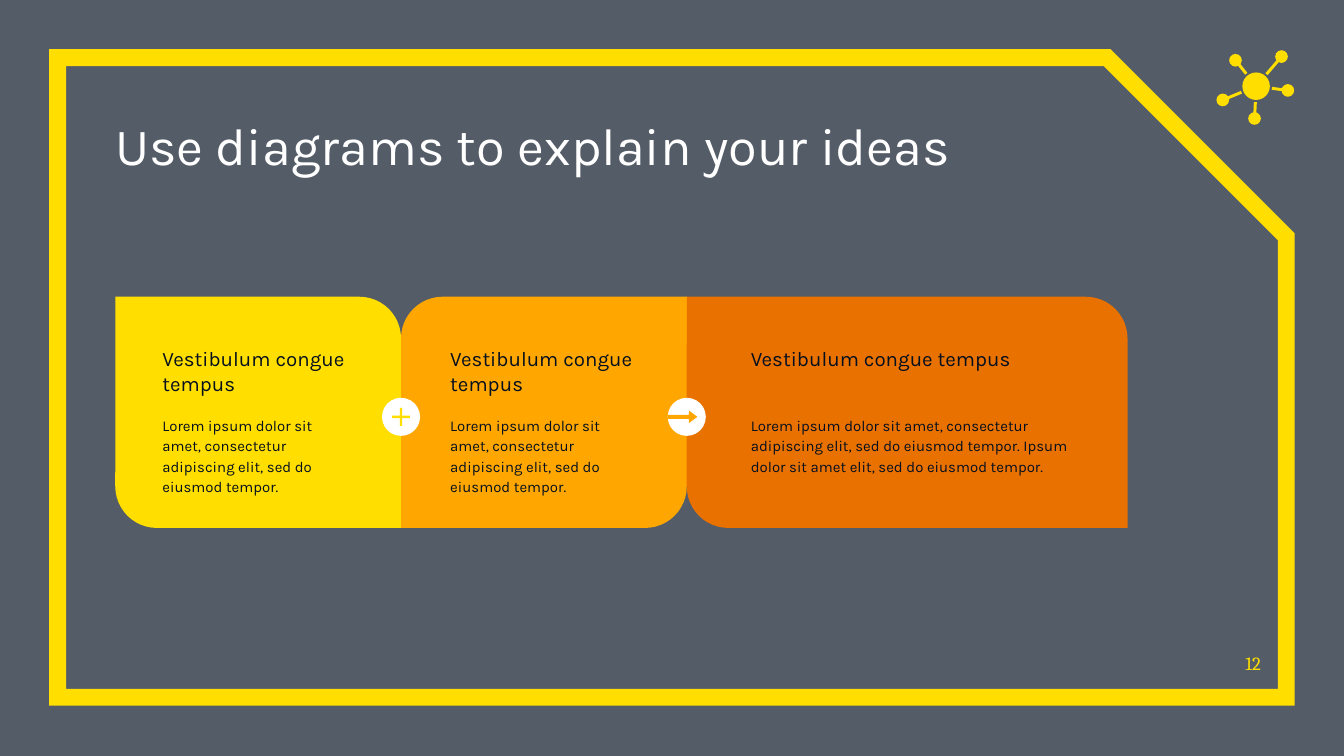
"""Build a slide with three linked idea cards inside a snipped yellow frame."""
import dataclasses
import itertools
import math

import pptx
import pptx.dml.color
import pptx.enum.shapes
import pptx.enum.text
import pptx.oxml
import pptx.oxml.ns
import pptx.util

Cm = pptx.util.Cm
Pt = pptx.util.Pt
SHAPE = pptx.enum.shapes.MSO_SHAPE
ANCHOR = pptx.enum.text.MSO_ANCHOR
ALIGN = pptx.enum.text.PP_ALIGN


@dataclasses.dataclass(frozen=True)
class Theme:
    backdrop: str = "545C67"
    yellow: str = "FFDE00"
    amber: str = "FFA700"
    orange: str = "E97100"
    white: str = "FFFFFF"
    ink: str = "040F20"
    sans: str = "Karla"
    serif: str = "Cambria"
    title_size: float = 28
    heading_size: float = 11
    body_size: float = 8
    number_size: float = 10
    frame_width: float = 9
    spoke_width: float = 1.6


class IdeaSlide:
    def __init__(self, deck, theme):
        self.theme = theme
        self.slide = deck.slides.add_slide(deck.slide_layouts[5])
        fill = self.slide.background.fill
        fill.solid()
        fill.fore_color.rgb = self.color(theme.backdrop)

    def color(self, value):
        return pptx.dml.color.RGBColor.from_string(value)

    def xml(self, tag, content=""):
        namespace = pptx.oxml.ns.nsdecls("a")
        return pptx.oxml.parse_xml(f"<a:{tag} {namespace}>{content}</a:{tag}>")

    def shape(self, kind, left, top, width, height, fill=None, adjustments=()):
        shape = self.slide.shapes.add_shape(kind, Cm(left), Cm(top), Cm(width), Cm(height))
        shape.shadow.inherit = False
        for index, value in enumerate(adjustments):
            shape.adjustments[index] = value
        if fill:
            shape.fill.solid()
            shape.fill.fore_color.rgb = self.color(fill)
        else:
            shape.fill.background()
        shape.line.fill.background()
        return shape

    def circle(self, x, y, diameter, fill):
        self.shape(SHAPE.OVAL, x - diameter / 2, y - diameter / 2, diameter, diameter, fill)

    def frame(self, left, top, width, height, snip):
        border = self.shape(SHAPE.SNIP_1_RECTANGLE, left, top, width, height,
                            adjustments=(snip,))
        border.line.color.rgb = self.color(self.theme.yellow)
        border.line.width = Pt(self.theme.frame_width)
        miter = self.xml("miter")
        miter.set("lim", "800000")
        border._element.spPr.find(pptx.oxml.ns.qn("a:ln")).append(miter)

    def spoke(self, x1, y1, x2, y2):
        line = self.slide.shapes.add_connector(
            pptx.enum.shapes.MSO_CONNECTOR.STRAIGHT, Cm(x1), Cm(y1), Cm(x2), Cm(y2))
        line.line.color.rgb = self.color(self.theme.yellow)
        line.line.width = Pt(self.theme.spoke_width)
        line._element.spPr.append(self.xml("effectLst"))

    def set_text(self, frame, text, size, color, font, inset=0, anchor=ANCHOR.TOP,
                 align=ALIGN.LEFT):
        frame.word_wrap = True
        frame.auto_size = pptx.enum.text.MSO_AUTO_SIZE.NONE
        frame.vertical_anchor = anchor
        frame.margin_left = frame.margin_right = Cm(inset)
        frame.margin_top = frame.margin_bottom = Cm(inset)
        paragraph = frame.paragraphs[0]
        paragraph.alignment = align
        run = paragraph.add_run()
        run.text = text
        run.font.size = Pt(size)
        run.font.name = font
        run.font.color.rgb = self.color(color)
        return paragraph

    def text(self, left, top, width, height, text, size, color, font, **layout):
        box = self.slide.shapes.add_textbox(Cm(left), Cm(top), Cm(width), Cm(height))
        return self.set_text(box.text_frame, text, size, color, font, **layout)

    def title(self, left, top, width, height, text):
        theme = self.theme
        title = self.slide.shapes.title
        title.left, title.top, title.width, title.height = map(Cm, (left, top, width, height))
        words = self.set_text(title.text_frame, text, theme.title_size, theme.white,
                              theme.sans, anchor=ANCHOR.BOTTOM)
        shadow = self.xml(
            "effectLst",
            '<a:outerShdw blurRad="38100" dist="38100" dir="2700000">'
            '<a:srgbClr val="000000"><a:alpha val="43000"/></a:srgbClr></a:outerShdw>')
        words.runs[0]._r.rPr.find(pptx.oxml.ns.qn("a:solidFill")).addnext(shadow)

    def molecule(self, x, y, nodes):
        yellow = self.theme.yellow
        for node_x, node_y in nodes:
            angle = math.atan2(node_y - y, node_x - x)
            self.spoke(x + 0.3 * math.cos(angle), y + 0.3 * math.sin(angle), node_x, node_y)
            self.circle(node_x, node_y, 0.24, yellow)
        self.circle(x, y, 0.52, yellow)

    def card(self, left, width, fill, corners, text_left, text_width, heading, body):
        theme = self.theme
        self.shape(SHAPE.ROUND_2_DIAG_RECTANGLE, left, 5.61, width, 4.37, fill, corners)
        self.text(text_left, 6.3, text_width, 1.27, heading, theme.heading_size,
                  theme.ink, theme.sans, inset=0.25)
        paragraph = self.text(text_left, 7.57, text_width, 1.42, body, theme.body_size,
                              theme.ink, theme.sans, inset=0.25)
        paragraph.line_spacing = 1.15
        paragraph.space_after = Pt(16)


def main():
    deck = pptx.Presentation()
    deck.slide_width, deck.slide_height = Cm(25.4), Cm(14.29)
    theme = Theme()
    page = IdeaSlide(deck, theme)

    page.frame(1.09, 1.09, 23.22, 12.09, 0.28)
    page.title(2.18, 1.98, 18.67, 1.35, "Use diagrams to explain your ideas")
    page.text(23.14, 12.04, 0.69, 0.71, "12", theme.number_size, theme.yellow, theme.serif,
              anchor=ANCHOR.BOTTOM, align=ALIGN.RIGHT)
    page.molecule(23.74, 1.63, [(24.22, 1.07), (23.35, 1.14), (23.11, 1.89),
                                (23.71, 2.24), (24.34, 1.71)])

    heading = "Vestibulum congue tempus"
    lorem = "Lorem ipsum dolor sit amet, consectetur adipiscing elit, sed do eiusmod tempor."
    rising, falling = (0, 0.18), (0.18, 0)
    cards = [
        (5.4, theme.yellow, rising, 2.82, 4.04, lorem),
        (5.4, theme.amber, falling, 8.26, 4.04, lorem),
        (8.33, theme.orange, rising, 13.94, 6.71,
         lorem + " Ipsum dolor sit amet elit, sed do eiusmod tempor."),
    ]
    edges = list(itertools.accumulate((card[0] for card in cards), initial=2.18))
    for left, (width, fill, corners, text_left, text_width, body) in zip(edges, cards):
        page.card(left, width, fill, corners, text_left, text_width, heading, body)

    plus_x, arrow_x = edges[1:3]
    joint_y, badge = 7.88, 0.72
    for joint_x in (plus_x, arrow_x):
        page.circle(joint_x, joint_y, badge, theme.white)
    page.shape(SHAPE.MATH_PLUS, plus_x - 0.23, joint_y - 0.23, 0.46, 0.46,
               theme.yellow, (0.1,))
    page.shape(SHAPE.RIGHT_ARROW, arrow_x - badge / 2, joint_y - 0.12, 0.56, 0.24,
               theme.amber, (0.32, 0.67))
    deck.save("out.pptx")


if __name__ == "__main__":
    main()
